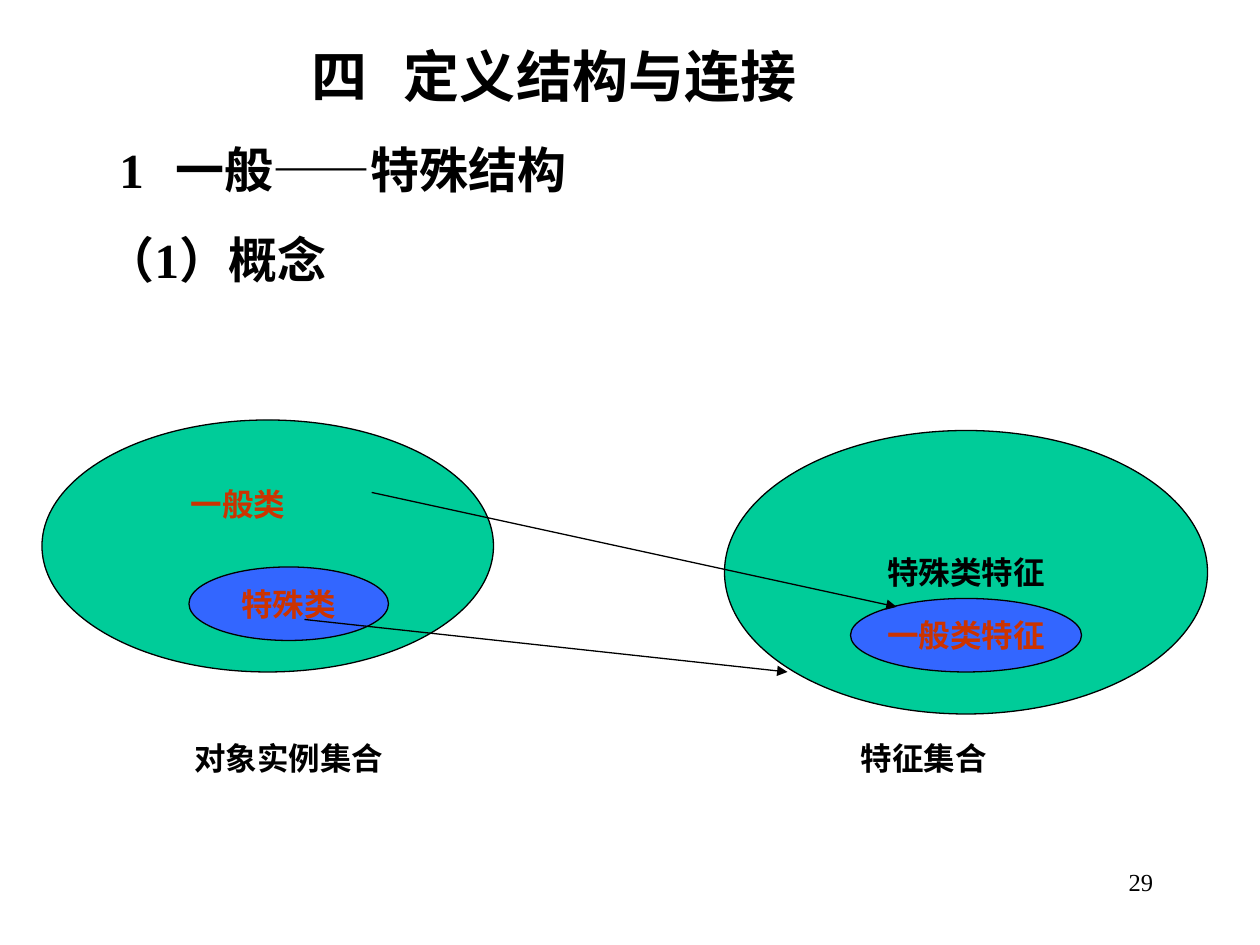
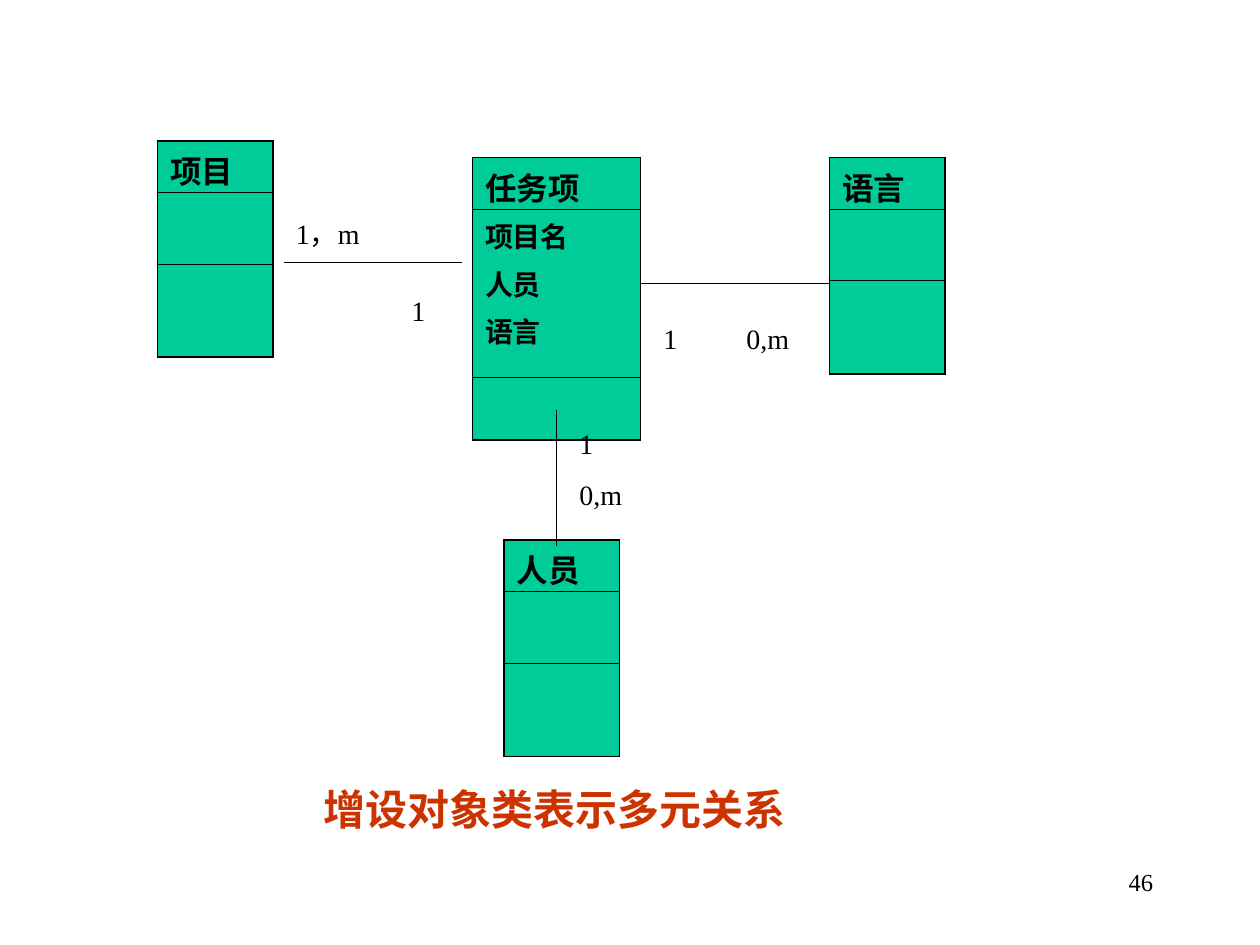
from lxml import etree
from pptx import Presentation
from pptx import util as u
from pptx.dml.color import RGBColor
from pptx.enum import shapes, text
from pptx.oxml.ns import qn

COL = ROW = u.Inches(1) // 12
BLACK, RED, GREEN, BLUE = "000000", "CC3300", "00CC99", "3366FF"
SERIF, SANS = "Times New Roman", "Noto Sans CJK SC"
LEFT, CENTER, RIGHT = text.PP_ALIGN.LEFT, text.PP_ALIGN.CENTER, text.PP_ALIGN.RIGHT
rgb = RGBColor.from_string


def grid(*cells):
    return [round(c * COL) for c in cells]


def write(tf, lines, size, color=BLACK, bold=False, align=LEFT, gap=0, leading=None):
    for i, line in enumerate(lines):
        words, start, hang, pt, face = line + (0, 0, size, SERIF)[len(line) - 1:]
        p = tf.paragraphs[0] if i == 0 else tf.add_paragraph()
        p.text = words
        p.alignment = align
        if leading:
            p.line_spacing = u.Pt(leading)
        if i:
            p.space_before = u.Pt(gap)
        margin = hang or start
        pPr = p._p.get_or_add_pPr()
        pPr.set("marL", str(round(margin * COL)))
        pPr.set("indent", str(round((start - margin) * COL)))
        f = p.font
        f.name, f.size, f.bold = face, u.Pt(pt), bold
        f.color.rgb = rgb(color)
        etree.SubElement(pPr.find(qn("a:defRPr")), qn("a:ea"), typeface=SANS)


prs = Presentation()
prs.slide_width, prs.slide_height = 120 * COL, 90 * ROW
sets, classes = [prs.slides.add_slide(prs.slide_layouts[6]) for _ in range(2)]

ellipses = [
    ((4, 40, 43, 24), GREEN, "", BLACK),
    ((69, 41, 46, 27), GREEN, "特殊类特征", BLACK),
    ((18, 54, 19, 7), BLUE, "特殊类", RED),
    ((81, 57, 22, 7), BLUE, "一般类特征", RED),
]
for place, fill, label, color in ellipses:
    sp = sets.shapes.add_shape(shapes.MSO_SHAPE.OVAL, *grid(*place))
    sp.shadow.inherit = False
    sp.fill.solid()
    sp.fill.fore_color.rgb = rgb(fill)
    sp.line.color.rgb = rgb(BLACK)
    sp.line.width = u.Pt(0.75)
    if label:
        tf = sp.text_frame
        tf.word_wrap = False
        tf.vertical_anchor = text.MSO_ANCHOR.MIDDLE
        write(tf, [(label,)], 18, color, True, CENTER)

small = (4.9, 6.8, 8.9)
tables = [
    (15, 13.4, 11, small, "项目", []),
    (45, 15, 16, (4.9, 16, 6), "任务项", ["项目名", "人员", "语言"]),
    (48, 51.4, 11, small, "人员", []),
    (79, 15, 11, small, "语言", []),
]
for x, y, width, heights, name, fields in tables:
    frame = classes.shapes.add_table(3, 1, *grid(x, y, width, sum(heights)))
    tbl = frame.table
    tbl.first_row = tbl.horz_banding = False
    for i, height in enumerate(heights):
        tbl.rows[i].height = round(height * ROW)
        cell = tbl.cell(i, 0)
        cell.margin_top, cell.margin_bottom = u.Inches(0.05), 0
        edges = {"L": 1.08, "R": 1.08, "T": 0.45 if i else 1.08, "B": 0.45 if i < 2 else 1.08}
        tcPr = cell._tc.get_or_add_tcPr()
        for side, weight in edges.items():
            ln = etree.SubElement(tcPr, qn("a:ln" + side), w=str(u.Pt(weight)))
            fill = etree.SubElement(ln, qn("a:solidFill"))
            etree.SubElement(fill, qn("a:srgbClr"), val=BLACK)
        cell.fill.solid()
        cell.fill.fore_color.rgb = rgb(GREEN)
    write(tbl.cell(0, 0).text_frame, [(name,)], 18, bold=True, leading=26)
    if fields:
        write(tbl.cell(1, 0).text_frame, [(f,) for f in fields], 16, bold=True, gap=4, leading=23)

lines = [
    (sets, (35.4, 46.9, 85.4, 57.8), True),
    (sets, (29, 59, 75, 64), True),
    (classes, (27, 25, 44, 25), False),
    (classes, (53, 39, 53, 52), False),
    (classes, (61, 27, 79, 27), False),
]
for s, ends, arrow in lines:
    c = s.shapes.add_connector(shapes.MSO_CONNECTOR.STRAIGHT, *grid(*ends))
    c.line.color.rgb = rgb(BLACK)
    c.line.width = u.Pt(0.75)
    if arrow:
        etree.SubElement(c.line._get_or_add_ln(), qn("a:tailEnd"), type="triangle")
    etree.SubElement(c._element.spPr, qn("a:effectLst"))

heading = [
    ("四\t定义结构与连接", 24.3, 33.1, 32, SANS),
    ("1\t一般——特殊结构", 6, 11.3),
    ("（1）概念", 4.7),
]
boxes = [
    (sets, (4.2, 3.4, 106.8, 24.7), heading, 28, BLACK, True, LEFT, 17.5),
    (sets, (17, 45.6, 11.4, 4.8), [("一般类",)], 18, RED, True, LEFT, 0),
    (sets, (12, 69.8, 30, 4.8), [("对象实例集合", 5.3)], 18, BLACK, True, LEFT, 0),
    (sets, (80.8, 69.8, 22, 4.8), [("特征集合",)], 18, BLACK, True, LEFT, 0),
    (sets, (86, 82, 25, 6), [("29",)], 14, BLACK, False, RIGHT, 0),
    (classes, (27, 20, 13, 4.4), [("1，m",)], 16, BLACK, False, LEFT, 0),
    (classes, (32, 27.4, 11, 4.4), [("1", 6)], 16, BLACK, False, LEFT, 0),
    (classes, (62, 30, 15, 4.4), [("1\t0,m", 0, 7.9)], 16, BLACK, False, LEFT, 0),
    (classes, (54, 40, 19, 9.2), [("1",), ("0,m",)], 16, BLACK, False, LEFT, 10),
    (classes, (9, 74, 83, 6), [("增设对象类表示多元关系", 20.6)], 24, RED, True, LEFT, 0),
    (classes, (86, 82, 25, 6), [("46",)], 14, BLACK, False, RIGHT, 0),
]
for s, place, words, size, color, bold, align, gap in boxes:
    tf = s.shapes.add_textbox(*grid(*place)).text_frame
    tf.word_wrap = True
    write(tf, words, size, color, bold, align, gap)

prs.save("out.pptx")
